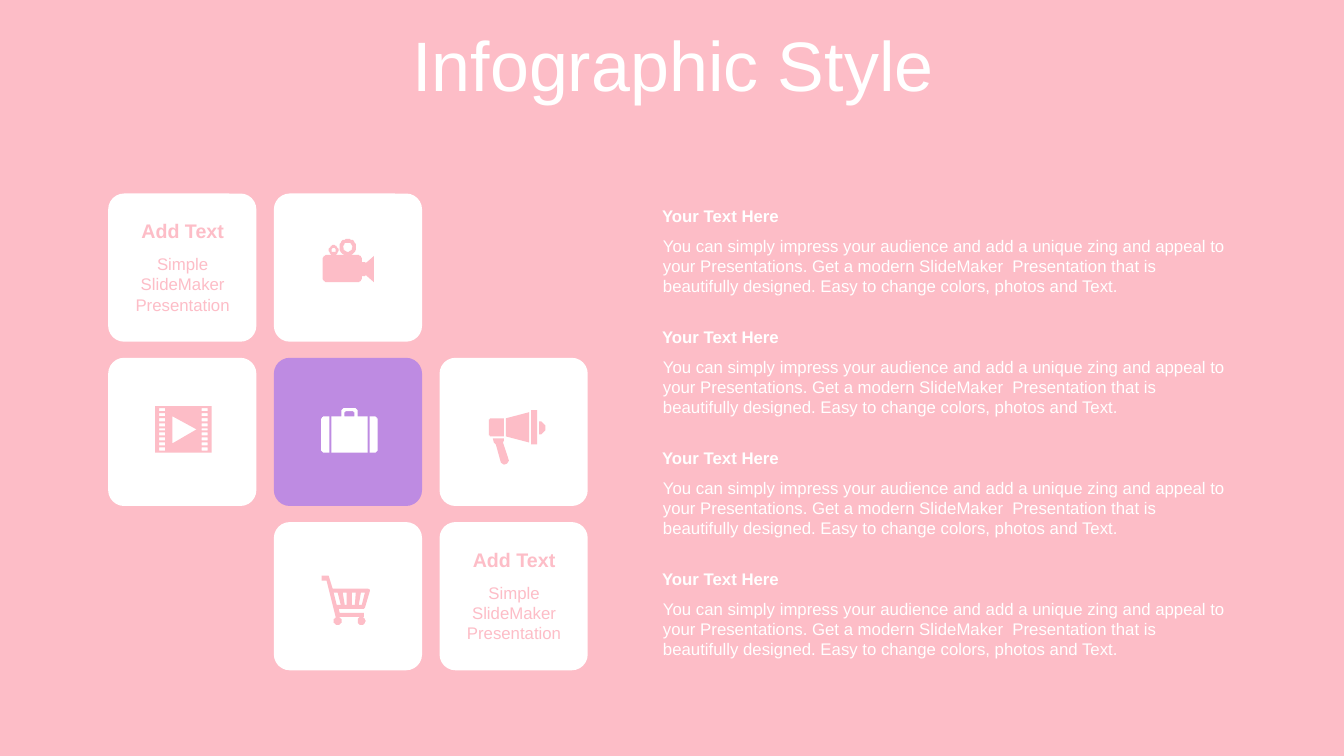
"""Build the pink infographic slide with a tile grid and four text blocks."""
from math import cos, pi, sin

from pptx import Presentation
from pptx.dml.color import RGBColor
from pptx.enum.shapes import MSO_SHAPE as Preset
from pptx.enum.text import MSO_ANCHOR as Anchor, PP_ALIGN as Align
from pptx.util import Pt

PINK = RGBColor(0xFD, 0xBD, 0xC7)
WHITE = RGBColor(0xFF, 0xFF, 0xFF)
PURPLE = RGBColor(0xBE, 0x8B, 0xE2)

TILE = 105.84
TILE_LEFT, TILE_TOP = 77.3, 138.24
STEP_X, STEP_Y = 118.35, 117.36
ICON_UNIT = 0.72
BLOCK_TOP, BLOCK_STEP = 143.3, 86.4

CARD_TEXT = "Simple SlideMaker Presentation"
BLOCK_TEXT = (
    "You can simply impress your audience and add a unique zing and appeal to "
    "your Presentations. Get a modern SlideMaker  Presentation that is "
    "beautifully designed. Easy to change colors, photos and Text."
)


def patch(left, top, right, bottom, tl=0, tr=0, br=0, bl=0):
    """Return the outline of a rectangle with its own radius at each corner."""
    corners = [
        (left + tl, top + tl, tl, pi),
        (right - tr, top + tr, tr, 1.5 * pi),
        (right - br, bottom - br, br, 0),
        (left + bl, bottom - bl, bl, 0.5 * pi),
    ]
    outline = []
    for x, y, radius, start in corners:
        steps = 8 if radius else 0
        for step in range(steps + 1):
            angle = start + step * pi / 16
            outline.append((x + radius * cos(angle), y + radius * sin(angle)))
    return outline


def disc(x, y, radius):
    """Return the outline of a circle."""
    return patch(x - radius, y - radius, x + radius, y + radius, *[radius] * 4)


def camera():
    """Return the outlines of the film camera."""
    return [
        patch(0, 16, 39, 43, 5, 5, 5, 5),
        [(39, 23), (42, 23), (43, 24), (51, 17), (51, 43), (43, 36), (42, 37), (39, 37)],
        disc(25, 8.2, 8.2), disc(25, 8.2, 4.5),
        disc(11, 11.2, 4.8), disc(11, 11.2, 2.3),
    ]


def film():
    """Return the outlines of the film frame with its perforation."""
    holes = [
        patch(left, 2 + 4.9 * row, left + 6, 4.8 + 4.9 * row)
        for left in (4, 46) for row in range(9)
    ]
    return [patch(0, 0, 56, 46), [(17, 10), (17, 37), (41, 23)], *holes]


def suitcase():
    """Return the outlines of the suitcase."""
    return [
        patch(0, 8, 7.5, 44.5, tl=4, bl=4),
        [(10, 8), (20, 8), (20, 2), (22, 0), (33.5, 0), (36, 2), (36, 8),
         (45.5, 8), (45.5, 44.5), (10, 44.5)],
        patch(23, 3, 33, 8, tl=2, tr=2),
        patch(48.5, 8, 56, 44.5, tr=4, br=4),
    ]


def megaphone():
    """Return the outlines of the megaphone."""
    return [
        [(15, 28), (15, 30), (14.5, 32), (20, 50), (18, 53), (15, 54),
         (12, 52), (7, 34), (5, 32), (4, 28)],
        patch(0, 8, 15, 26, tl=2.5, bl=2.5),
        [(40, 2), (40, 32), (17, 26), (17, 8)],
        patch(42, 0, 48, 34, 1, 1, 1, 1),
        patch(50, 11, 56, 24, tr=6, br=6),
    ]


def cart():
    """Return the outlines of the shopping cart."""
    return [
        [(0, 0), (7, 0), (11, 13), (46, 13), (48, 14), (48, 15), (43, 32),
         (42, 33), (17, 33), (18, 37), (42, 37), (42, 41), (14, 41), (5, 5), (0, 5)],
        [(39, 17), (37, 29), (40, 29), (43, 17)],
        [(30, 17), (30, 29), (33, 29), (34, 17)],
        [(21, 17), (23, 29), (25, 29), (25, 17)],
        [(12, 17), (15, 29), (19, 29), (16, 17)],
        disc(16, 45, 4), disc(39.5, 45, 4),
    ]


class Painter:
    """Hold the text style and the current slide."""

    def __init__(self, page):
        """Keep the slide and the base font."""
        self.page = page
        self.font = {"name": "Arial", "size": Pt(12), "bold": False}

    def paint(self, shape, color):
        """Fill a shape and remove its line and shadow."""
        shape.shadow.inherit = False
        shape.fill.solid()
        shape.fill.fore_color.rgb = color
        shape.line.fill.background()

    def tile(self, left, top, color):
        """Add a rounded tile."""
        shape = self.page.shapes.add_shape(
            Preset.ROUNDED_RECTANGLE, Pt(left), Pt(top), Pt(TILE), Pt(TILE))
        shape.adjustments[0] = 0.107
        self.paint(shape, color)

    def icon(self, left, top, outlines, color):
        """Add one freeform made of closed outlines."""
        first, *others = outlines
        builder = self.page.shapes.build_freeform(*first[0], scale=Pt(ICON_UNIT))
        builder.add_line_segments(first[1:])
        for outline in others:
            builder.move_to(*outline[0])
            builder.add_line_segments(outline[1:])
        self.paint(builder.convert_to_shape(Pt(left), Pt(top)), color)

    def text(self, area, words, color, layout=None, anchor=Anchor.TOP, **font):
        """Add a wrapped text box with one paragraph."""
        box = self.page.shapes.add_textbox(*[Pt(length) for length in area])
        frame = box.text_frame
        frame.word_wrap = True
        frame.vertical_anchor = anchor
        para = frame.paragraphs[0]
        for key, value in (layout or {}).items():
            setattr(para, key, value)
        span = para.add_run()
        span.text = words
        for key, value in {**self.font, **font}.items():
            setattr(span.font, key, value)
        span.font.color.rgb = color


def main():
    """Build and save the deck."""
    deck = Presentation()
    deck.slide_width, deck.slide_height = Pt(960), Pt(540)
    page = deck.slides.add_slide(deck.slide_layouts[6])
    page.background.fill.solid()
    page.background.fill.fore_color.rgb = PINK
    painter = Painter(page)

    centered = {"alignment": Align.CENTER}
    heading = {**centered, "line_spacing": 0.8, "space_before": Pt(10)}
    painter.text((25.2, 22.3, 911.5, 56.9), "Infographic Style", WHITE,
                 heading, Anchor.MIDDLE, size=Pt(50))

    tiles = [
        (0, 0, None, 0, 0),
        (1, 0, camera, 230.4, 170.64),
        (0, 1, film, 110.9, 290.16),
        (1, 1, suitcase, 229.5, 291.6),
        (2, 1, megaphone, 349.2, 293.04),
        (1, 2, cart, 229.7, 411.12),
        (2, 2, None, 0, 0),
    ]
    for column, row, drawing, icon_left, icon_top in tiles:
        left, top = TILE_LEFT + column * STEP_X, TILE_TOP + row * STEP_Y
        accent = drawing is suitcase
        painter.tile(left, top, PURPLE if accent else WHITE)
        if drawing:
            painter.icon(icon_left, icon_top, drawing(), WHITE if accent else PINK)
        else:
            painter.text((left + 4.6, top + 14.8, 97.2, 24.5), "Add Text", PINK,
                         centered, size=Pt(14), bold=True)
            painter.text((left + 4.6, top + 39.6, 97.2, 51.1), CARD_TEXT, PINK, centered)

    for index in range(4):
        top = BLOCK_TOP + index * BLOCK_STEP
        painter.text((465.8, top, 421.2, 21.6), "Your Text Here", WHITE, bold=True)
        painter.text((466.5, top + 21.6, 420.5, 51.1), BLOCK_TEXT, WHITE)

    deck.save("out.pptx")


if __name__ == "__main__":
    main()
